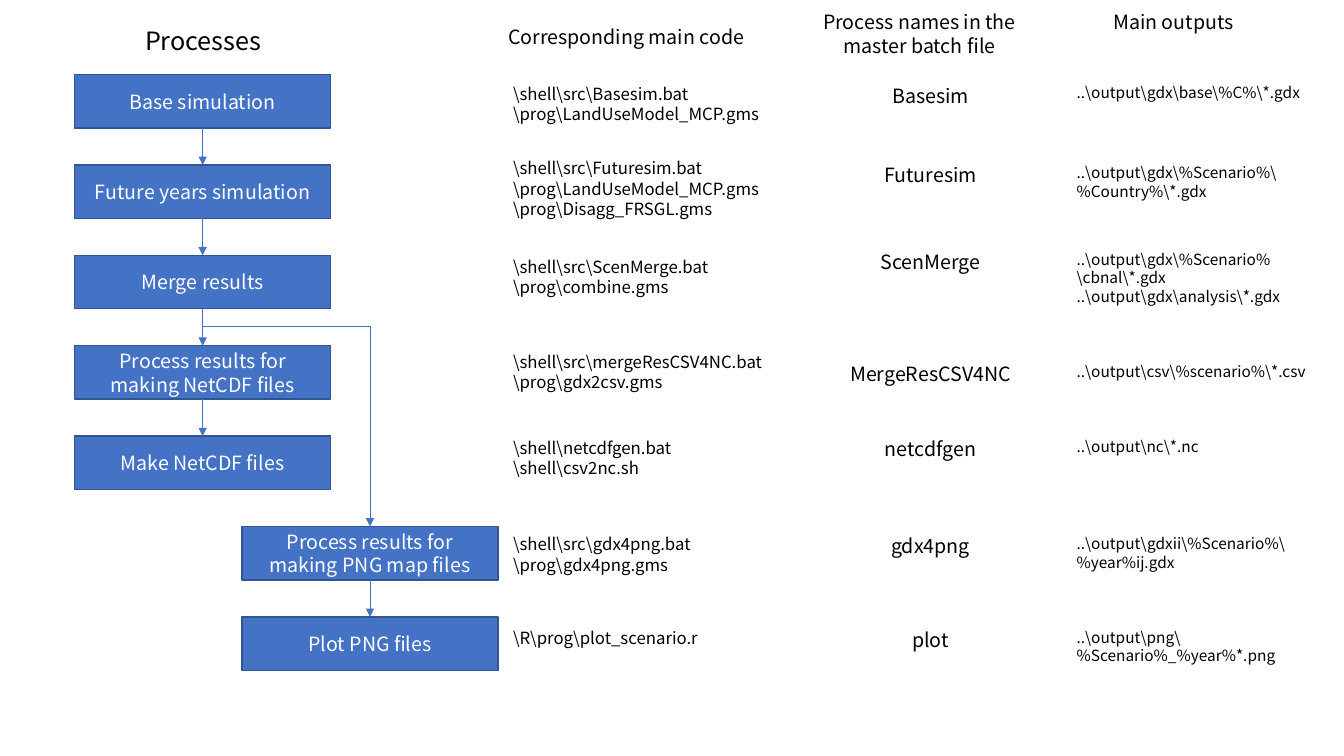
"""Builds a slide that maps processing steps to their code, batch names and outputs."""
import pptx
import pptx.dml.color
import pptx.enum.shapes
import pptx.enum.text
import pptx.oxml
import pptx.oxml.ns
import pptx.util
from pptx.util import Inches

CENTER = pptx.enum.text.PP_ALIGN.CENTER
LEFT = pptx.enum.text.PP_ALIGN.LEFT
CONNECTOR = pptx.enum.shapes.MSO_CONNECTOR
NAMESPACE = 'xmlns:a="http://schemas.openxmlformats.org/drawingml/2006/main"'


def color(value):
    return pptx.dml.color.RGBColor.from_string(value)


class FlowSlide:
    font_name = "Noto Sans CJK JP"
    fill = "4472C4"
    outline = "325491"

    def __init__(self, presentation):
        self.slide = presentation.slides.add_slide(presentation.slide_layouts[6])

    def set_text(self, shape, lines, size, text_color, alignment, frame_format):
        frame = shape.text_frame
        for name, value in frame_format.items():
            setattr(frame, name, value)
        frame.text = "\n".join(lines)
        font_format = {"name": self.font_name, "size": pptx.util.Pt(size)}
        for paragraph in frame.paragraphs:
            paragraph.alignment = alignment
            for run in paragraph.runs:
                for name, value in font_format.items():
                    setattr(run.font, name, value)
                run.font.color.rgb = color(text_color)

    def box(self, left, top, width, height, text):
        shape = self.slide.shapes.add_shape(
            pptx.enum.shapes.MSO_SHAPE.RECTANGLE,
            Inches(left), Inches(top), Inches(width), Inches(height))
        shape.shadow.inherit = False
        shape.fill.solid()
        shape.fill.fore_color.rgb = color(self.fill)
        shape.line.color.rgb = color(self.outline)
        shape.line.width = pptx.util.Pt(1)
        self.set_text(shape, [text], 14, "FFFFFF", CENTER, {
            "word_wrap": True,
            "vertical_anchor": pptx.enum.text.MSO_ANCHOR.MIDDLE})

    def text(self, left, top, width, height, lines, size, alignment=LEFT):
        shape = self.slide.shapes.add_textbox(
            Inches(left), Inches(top), Inches(width), Inches(height))
        self.set_text(shape, lines, size, "000000", alignment, {
            "word_wrap": True,
            "auto_size": pptx.enum.text.MSO_AUTO_SIZE.SHAPE_TO_FIT_TEXT})

    def arrow(self, start, end, kind=CONNECTOR.STRAIGHT):
        connector = self.slide.shapes.add_connector(
            kind, *(Inches(length) for length in (*start, *end)))
        connector.line.color.rgb = color(self.fill)
        connector.line.width = pptx.util.Pt(0.5)
        properties = connector._element.spPr
        properties.find(pptx.oxml.ns.qn("a:ln")).append(
            pptx.oxml.parse_xml(f'<a:tailEnd {NAMESPACE} type="triangle"/>'))
        properties.append(pptx.oxml.parse_xml(f"<a:effectLst {NAMESPACE}/>"))
        return connector

    def branch(self, start, end, bend):
        center_x, center_y = (start[0] + end[0]) / 2, (start[1] + end[1]) / 2
        half_width, half_height = (end[1] - start[1]) / 2, (end[0] - start[0]) / 2
        connector = self.arrow(
            (center_x - half_width, center_y - half_height),
            (center_x + half_width, center_y + half_height), CONNECTOR.ELBOW)
        properties = connector._element.spPr
        transform = properties.find(pptx.oxml.ns.qn("a:xfrm"))
        for name, value in {"rot": "16200000", "flipH": "1"}.items():
            transform.set(name, value)
        geometry = properties.find(pptx.oxml.ns.qn("a:prstGeom"))
        for adjustments in geometry.findall(pptx.oxml.ns.qn("a:avLst")):
            geometry.remove(adjustments)
        geometry.append(pptx.oxml.parse_xml(
            f'<a:avLst {NAMESPACE}><a:gd name="adj1" '
            f'fmla="val {round(bend * 100000)}"/></a:avLst>'))


BOX_WIDTH, BOX_HEIGHT = 2.54, 0.53
FIRST_TOP, LAST_TOP = 0.74, 6.12
MAIN_LEFT, MAP_LEFT = 0.74, 2.4
MERGE_ROW, MAP_ROW = 2, 5

HEADINGS = [
    (1.02, 0.2, 1.99, 0.4, "Processes", 18, CENTER),
    (4.94, 0.2, 2.81, 0.34, "Corresponding main code", 14, LEFT),
    (7.84, 0.05, 2.56, 0.57, "Process names in the master batch file", 14, CENTER),
    (10.36, 0.05, 2.56, 0.34, "Main outputs", 14, CENTER),
]

STEPS = [
    ("Base simulation", 0.78, "Basesim", 0.78,
     [r"\shell\src\Basesim.bat", r"\prog\LandUseModel_MCP.gms"],
     [r"..\output\gdx\base\%C%\*.gdx"]),
    ("Future years simulation", 1.57, "Futuresim", 1.52,
     [r"\shell\src\Futuresim.bat", r"\prog\LandUseModel_MCP.gms",
      r"\prog\Disagg_FRSGL.gms"],
     [r"..\output\gdx\%Scenario%\%Country%\*.gdx"]),
    ("Merge results", 2.43, "ScenMerge", 2.5,
     [r"\shell\src\ScenMerge.bat", r"\prog\combine.gms"],
     [r"..\output\gdx\%Scenario%\cbnal\*.gdx", r"..\output\gdx\analysis\*.gdx"]),
    ("Process results for making NetCDF files", 3.54, "MergeResCSV4NC", 3.44,
     [r"\shell\src\mergeResCSV4NC.bat", r"\prog\gdx2csv.gms"],
     [r"..\output\csv\%scenario%\*.csv"]),
    ("Make NetCDF files", 4.29, "netcdfgen", 4.29,
     [r"\shell\netcdfgen.bat", r"\shell\csv2nc.sh"],
     [r"..\output\nc\*.nc"]),
    ("Process results for making PNG map files", 5.25, "gdx4png", 5.25,
     [r"\shell\src\gdx4png.bat", r"\prog\gdx4png.gms"],
     [r"..\output\gdxii\%Scenario%\%year%ij.gdx"]),
    ("Plot PNG files", 6.18, "plot", 6.18,
     [r"\R\prog\plot_scenario.r"],
     [r"..\output\png\%Scenario%_%year%*.png"]),
]


def main():
    presentation = pptx.Presentation()
    presentation.slide_width = Inches(13.33)
    presentation.slide_height = Inches(7.5)
    flow = FlowSlide(presentation)

    for left, top, width, height, heading, size, alignment in HEADINGS:
        flow.text(left, top, width, height, [heading], size, alignment)

    pitch = (LAST_TOP - FIRST_TOP) / (len(STEPS) - 1)
    tops = [FIRST_TOP + pitch * row for row in range(len(STEPS))]
    lefts = [MAP_LEFT if row >= MAP_ROW else MAIN_LEFT for row in range(len(STEPS))]
    centers = [left + BOX_WIDTH / 2 for left in lefts]

    for row, (process, name_top, name, code_top, code, outputs) in enumerate(STEPS):
        flow.box(lefts[row], tops[row], BOX_WIDTH, BOX_HEIGHT, process)
        flow.text(4.99, code_top, 3.37, 0.1 + 0.2 * len(code), code, 12)
        flow.text(8.06, name_top, 2.34, 0.34, [name], 14, CENTER)
        flow.text(10.58, name_top, 2.76, 0.29, outputs, 11)
        if row not in (0, MAP_ROW):
            flow.arrow((centers[row], tops[row - 1] + BOX_HEIGHT),
                       (centers[row], tops[row]))

    flow.branch((centers[MERGE_ROW], tops[MERGE_ROW] + BOX_HEIGHT),
                (centers[MAP_ROW], tops[MAP_ROW]), 0.08)
    presentation.save("out.pptx")


if __name__ == "__main__":
    main()
